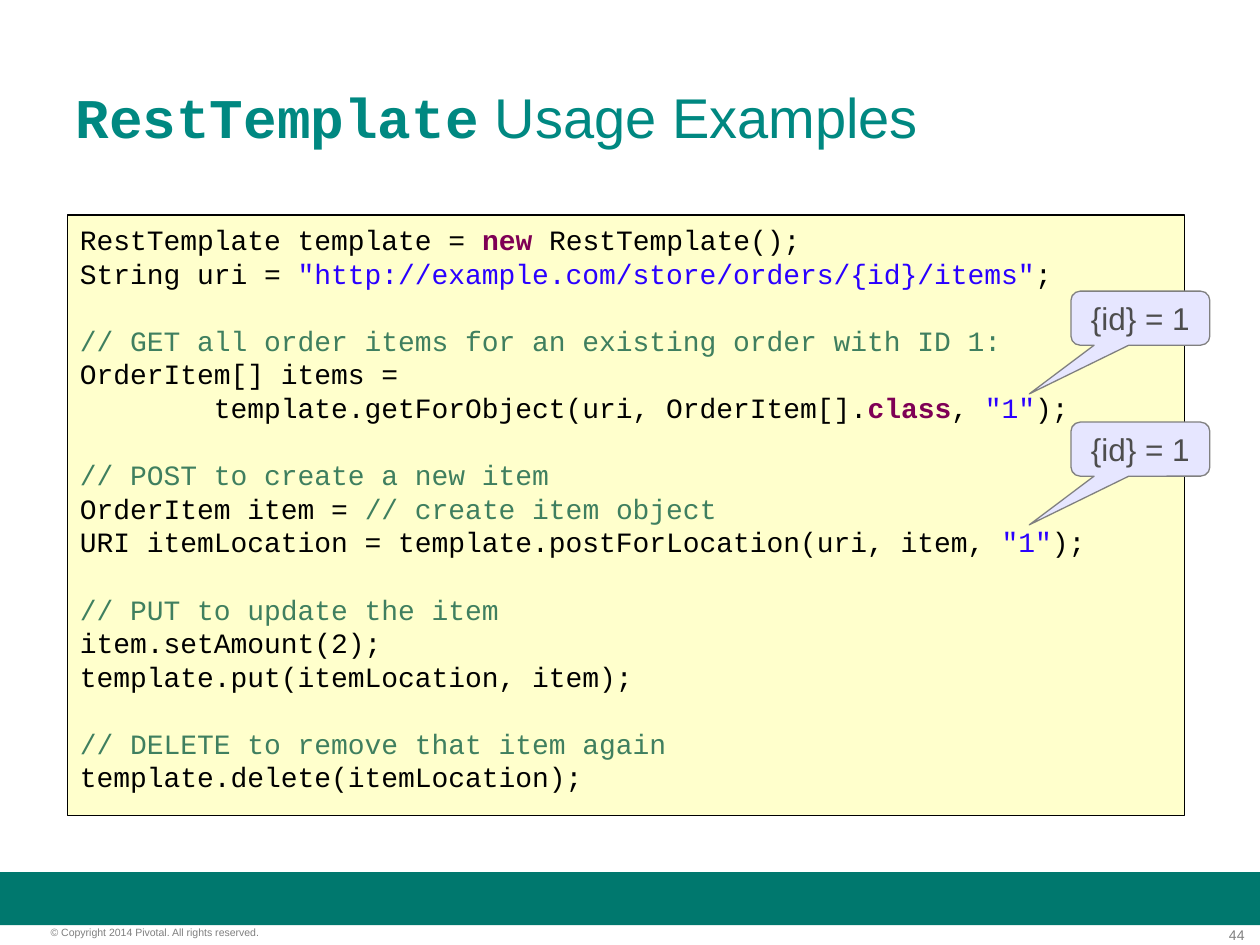
from pptx import Presentation
from pptx.dml.color import RGBColor
from pptx.enum.shapes import MSO_SHAPE
from pptx.enum.text import MSO_ANCHOR, PP_ALIGN
from pptx.util import Cm, Pt

RECTANGLE = MSO_SHAPE.RECTANGLE
CALLOUT = MSO_SHAPE.ROUNDED_RECTANGULAR_CALLOUT
TOP, MIDDLE = MSO_ANCHOR.TOP, MSO_ANCHOR.MIDDLE
LEFT, CENTER, RIGHT = PP_ALIGN.LEFT, PP_ALIGN.CENTER, PP_ALIGN.RIGHT
SANS, MONO = "Arial", "Courier New"
LINE_HEIGHT = 19.2

# Syntax styles: colour and weight
PLAIN = {"color": "000000"}
KEYWORD = {"color": "7F0055", "bold": True}
STRING = {"color": "2A00FF"}
COMMENT = {"color": "3F7F5F"}

# Blocks of code lines; each line is a list of (text, style)
CODE = [
    [
        [("RestTemplate template = ", PLAIN), ("new", KEYWORD),
         (" RestTemplate();", PLAIN)],
        [("String uri = ", PLAIN),
         ('"http://example.com/store/orders/{id}/items"', STRING),
         (";", PLAIN)],
    ],
    [
        [("// GET all order items for an existing order with ID 1:", COMMENT)],
        [("OrderItem[] items =", PLAIN)],
        [("        template.getForObject(uri, OrderItem[].", PLAIN),
         ("class", KEYWORD), (", ", PLAIN), ('"1"', STRING), (");", PLAIN)],
    ],
    [
        [("// POST to create a new item", COMMENT)],
        [("OrderItem item = ", PLAIN), ("// create item object", COMMENT)],
        [("URI itemLocation = template.postForLocation(uri, item, ", PLAIN),
         ('"1"', STRING), (");", PLAIN)],
    ],
    [
        [("// PUT to update the item", COMMENT)],
        [("item.setAmount(2);", PLAIN)],
        [("template.put(itemLocation, item);", PLAIN)],
    ],
    [
        [("// DELETE to remove that item again", COMMENT)],
        [("template.delete(itemLocation);", PLAIN)],
    ],
]


def rgb(value):
    return RGBColor.from_string(value)


def add_span(para, text, font=SANS, size=16, color="000000", bold=False):
    span = para.add_run()
    span.text = text
    span.font.name = font
    span.font.size = Pt(size)
    span.font.bold = bold
    span.font.color.rgb = rgb(color)


def set_frame(box, inset_x=0.25, inset_y=0.13, anchor=TOP, wrap=True):
    frame = box.text_frame
    frame.word_wrap = wrap
    frame.vertical_anchor = anchor
    frame.margin_left = frame.margin_right = Cm(inset_x)
    frame.margin_top = frame.margin_bottom = Cm(inset_y)
    return frame


def add_panel(page, kind, left, top, width, height, fill, line=None, weight=1):
    panel = page.shapes.add_shape(kind, Cm(left), Cm(top), Cm(width), Cm(height))
    panel.shadow.inherit = False
    panel.fill.solid()
    panel.fill.fore_color.rgb = rgb(fill)
    if line:
        panel.line.color.rgb = rgb(line)
        panel.line.width = Pt(weight)
    else:
        panel.line.fill.background()
    return panel


def add_label(page, text, left, top, width, height, size, align=LEFT):
    box = page.shapes.add_textbox(Cm(left), Cm(top), Cm(width), Cm(height))
    para = set_frame(box, 0, 0).paragraphs[0]
    para.alignment = align
    add_span(para, text, size=size, color="7F7F7F")


def add_title(page):
    title = page.shapes.title
    title.left, title.top = Cm(1.27), Cm(0.76)
    title.width, title.height = Cm(22.86), Cm(3.18)
    para = set_frame(title, anchor=MIDDLE).paragraphs[0]
    para.alignment = LEFT
    add_span(para, "RestTemplate", font=MONO, size=32, color="008881", bold=True)
    add_span(para, " Usage Examples", size=32, color="008881")


def add_code(page, blocks):
    panel = add_panel(page, RECTANGLE, 1.36, 4.34, 22.52, 12.1, "FFFFCC", "000000")
    frame = set_frame(panel, inset_y=0.15)
    para = None
    for block in blocks:
        for number, line in enumerate(block):
            first = para is None
            para = frame.paragraphs[0] if first else frame.add_paragraph()
            para.alignment = LEFT
            para.line_spacing = Pt(LINE_HEIGHT)
            # One line of space between blocks
            if number == 0 and not first:
                para.space_before = Pt(LINE_HEIGHT)
            for text, style in line:
                add_span(para, text, font=MONO, **style)


def add_callout(page, text, top):
    callout = add_panel(page, CALLOUT, 21.59, top, 2.8, 1.09,
                        "E6E6FF", "808080", 0)
    for index, value in enumerate((-0.8, 1.4, 0.17)):
        callout.adjustments[index] = value
    para = set_frame(callout, anchor=MIDDLE, wrap=False).paragraphs[0]
    para.alignment = CENTER
    add_span(para, text, size=18, color="4D4D4D")


def main():
    deck = Presentation()
    deck.slide_width, deck.slide_height = Cm(25.4), Cm(19.05)
    page = deck.slides.add_slide(deck.slide_layouts[5])

    # Footer
    add_panel(page, RECTANGLE, 0, 17.58, 25.4, 1.07, "00786E")
    add_label(page, "44", 23.62, 18.67, 1.47, 0.33, 8, RIGHT)
    add_label(page, "© Copyright 2014 Pivotal. All rights reserved.",
              1.02, 18.67, 6.32, 0.25, 6)

    # Title, code and callouts
    add_title(page)
    add_code(page, CODE)
    for top in (5.87, 8.51):
        add_callout(page, "{id} = 1", top)

    deck.save("out.pptx")


if __name__ == "__main__":
    main()
